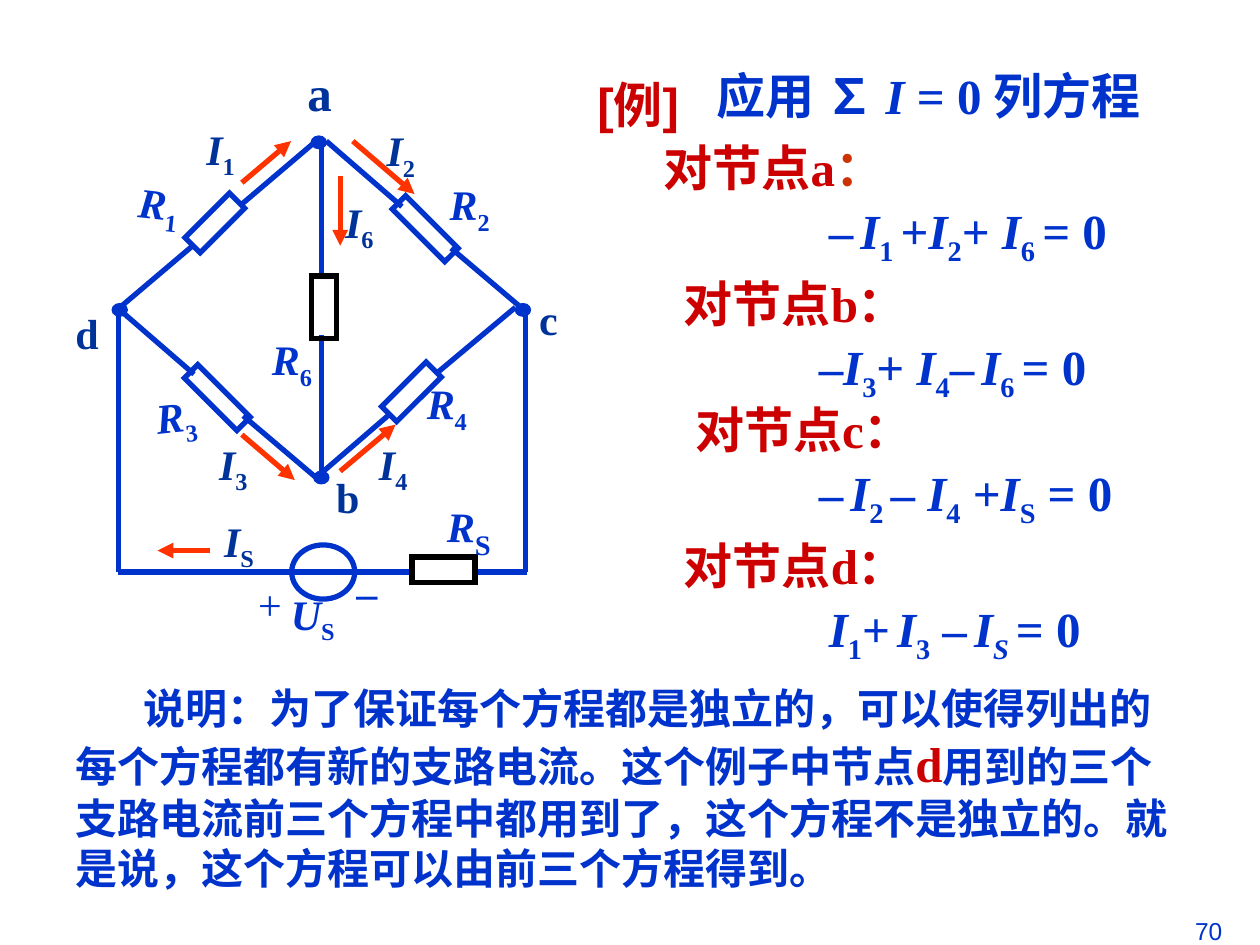
"""Builds a slide on node equations for a bridge circuit, on a grid of 1000 columns by 750 rows."""
from lxml.etree import SubElement
from pptx import Presentation
from pptx.dml.color import RGBColor
from pptx.enum.shapes import MSO_CONNECTOR, MSO_SHAPE
from pptx.enum.text import MSO_ANCHOR, MSO_AUTO_SIZE, PP_ALIGN
from pptx.oxml.ns import qn
from pptx.util import Inches, Pt

BLUE, NAVY, RED, FLAME = "0033CC", "003399", "CC0000", "FF3300"
ROMAN, SANS = "Times New Roman", "Arial"
MID, RIGHT = PP_ALIGN.CENTER, PP_ALIGN.RIGHT

deck = Presentation()
deck.slide_width, deck.slide_height = Inches(10), Inches(7.5)
page = deck.slides.add_slide(deck.slide_layouts[6])
unit = deck.slide_width / 1000


def grid(*cells):
    return [round(cell * unit) for cell in cells]


def write(text, *cells, size=24, tint=BLUE, font=ROMAN, bold=True, align=PP_ALIGN.LEFT,
          wrap=True, grow=True, anchor=MSO_ANCHOR.TOP, turn=0, lead=0, space=None, odd={}):
    """Parts are split at |, with / for italic and _ for subscript; odd maps a part to its own look."""
    box = page.shapes.add_textbox(*grid(*cells))
    box.rotation = turn
    frame = box.text_frame
    frame.word_wrap = wrap
    frame.auto_size = MSO_AUTO_SIZE.SHAPE_TO_FIT_TEXT if grow else MSO_AUTO_SIZE.NONE
    frame.vertical_anchor = anchor
    line = frame.paragraphs[0]
    line.alignment, line.line_spacing = align, space
    if lead:
        line._p.get_or_add_pPr().set("indent", str(grid(lead)[0]))
    for part in text.split("|"):
        word = part.lstrip("/_")
        marks = part[:len(part) - len(word)]
        look = dict(size=size, tint=tint, font=font) | odd.get(word, {})
        run = line.add_run()
        run.text = word
        run.font.size, run.font.name = Pt(look["size"]), look["font"]
        run.font.bold, run.font.italic = bold, "/" in marks
        run.font.color.rgb = RGBColor.from_string(look["tint"])
        if "_" in marks:
            run._r.get_or_add_rPr().set("baseline", "-25000")


wires = [
    (255, 220, 255, 112), (255, 266, 255, 378),
    (417, 245, 417, 454), (94, 244, 94, 454), (418, 454, 94, 454),
    (348, 295, 409, 244), (309, 329, 251, 379),
    (192, 162, 252, 111), (153, 195, 94, 245),
    (154, 297, 94, 245), (193, 330, 252, 380),
    (319, 164, 259, 112), (358, 197, 417, 247),
]
flows = [
    (270, 140, 270, 195), (280, 112, 329, 154), (270, 374, 314, 337),
    (192, 345, 234, 381), (192, 145, 231, 112), (167, 437, 125, 437),
]
for ends in wires + flows:
    wire = page.shapes.add_connector(MSO_CONNECTOR.STRAIGHT, *grid(*ends))
    wire.line.width = Pt(3)
    wire.line.color.rgb = RGBColor.from_string(FLAME if ends in flows else BLUE)
    if ends in flows:
        SubElement(wire.line._get_or_add_ln(), qn("a:tailEnd"), type="triangle")
    SubElement(wire._element.spPr, qn("a:effectLst"))

RECT, OVAL = MSO_SHAPE.RECTANGLE, MSO_SHAPE.OVAL
nodes = [(415, 246), (253, 113), (95, 246), (255, 379)]
parts = [(OVAL, (x - 6, y - 5, 12, 10), 0, BLUE, BLUE, 0.75) for x, y in nodes] + [
    (OVAL, (235, 429, 43, 50), 90, None, BLUE, 3),
    (RECT, (318, 286, 17, 50), 45, None, BLUE, 3),
    (RECT, (162, 152, 17, 50), 45, None, BLUE, 3),
    (RECT, (165, 286, 15, 59), 315, None, BLUE, 3),
    (RECT, (330, 152, 15, 59), 315, None, BLUE, 3),
    (RECT, (247, 219, 20, 50), 0, None, "000000", 3),
    (RECT, (342, 427, 20, 50), 270, "FFFFFF", "000000", 3),
]
for kind, cells, turn, fill, edge, width in parts:
    part = page.shapes.add_shape(kind, *grid(*cells))
    part.rotation, part.shadow.inherit = turn, False
    part.line.width = Pt(width)
    part.line.color.rgb = RGBColor.from_string(edge)
    SubElement(part.line._get_or_add_ln(), qn("a:miter"), lim="800000")
    if fill:
        part.fill.solid()
        part.fill.fore_color.rgb = RGBColor.from_string(fill)
    else:
        part.fill.background()

for name, x, y, w, size in [("a", 234, 45, 39, 28), ("b", 257, 369, 38, 24),
                            ("c", 418, 228, 35, 24), ("d", 50, 239, 38, 24)]:
    write(name, x, y, w, 50, size=size, tint=NAVY, wrap=False)
for sub, x, y in [("1", 154, 93), ("2", 297, 94), ("3", 164, 343),
                  ("4", 291, 343), ("6", 264, 151), ("S", 168, 404)]:
    write(f"/I|_{sub}", x, y, 60, 56, tint=NAVY)
for sub, x, y, turn in [("1", 100, 137, 6.2), ("2", 347, 137, -0.3), ("4", 329, 295, 0.5),
                        ("6", 206, 260, 0)]:
    write(f"/R|_{sub}", x, y, 60, 56, turn=turn)
write("/R|_3", 114, 304, 75, 56, turn=-6.1)
write("/R|_S", 345, 387, 72, 63, turn=0.5, odd={"S": {"size": 28}})
write("/U|_S", 221, 462, 78, 56)
write("–", 273, 445, 37, 50, wrap=False)
write("+", 195, 454, 39, 50, bold=False, wrap=False)

write("[例]", 425, 48, 163, 81, size=28, tint=RED, font=SANS, align=MID,
      anchor=MSO_ANCHOR.MIDDLE, grow=False, space=0.7)
write("应用 |∑ |/I| = 0 列方程", 533, 47, 408, 57, size=28, align=MID,
      anchor=MSO_ANCHOR.MIDDLE, odd={"∑ ": {"font": SANS}})
for name, x, y in [("a|：", 517, 104), ("b：", 533, 212), ("c：", 542, 312), ("d：", 533, 420)]:
    write("对节点" + name, x, y, 275, 57, size=28, tint=RED, odd={"：": {"tint": "CC3300"}})
for sums, x, y in [("–|_ |/I|_1 |+|/I|_2|+ |/I|_6 |= 0", 648, 154),
                   ("–|/I|_3|+ |/I|_4|–|_ |/I|_6 |= 0", 640, 262),
                   ("–|_ |/I|_2 |– |/I|_4| +|/I|_S| = 0", 640, 362),
                   ("/I|_1|+|_ |/I|_3| –|_ |/I|/_S |= 0", 648, 470)]:
    write(sums, x, y, 340, 63, size=28)

write("说明：为了保证每个方程都是独立的，可以使得列出的每个方程都有新的支路电流。这个例子中节点|d|"
      "用到的三个支路电流前三个方程中都用到了，这个方程不是独立的。就是说，这个方程可以由前三个方程得到。",
      50, 537, 900, 177, font=SANS, lead=54,
      odd={"d": {"size": 28, "tint": RED, "font": ROMAN}})
write("70", 730, 722, 250, 52, size=14, font=SANS, bold=False, align=RIGHT, grow=False)

deck.save("out.pptx")
